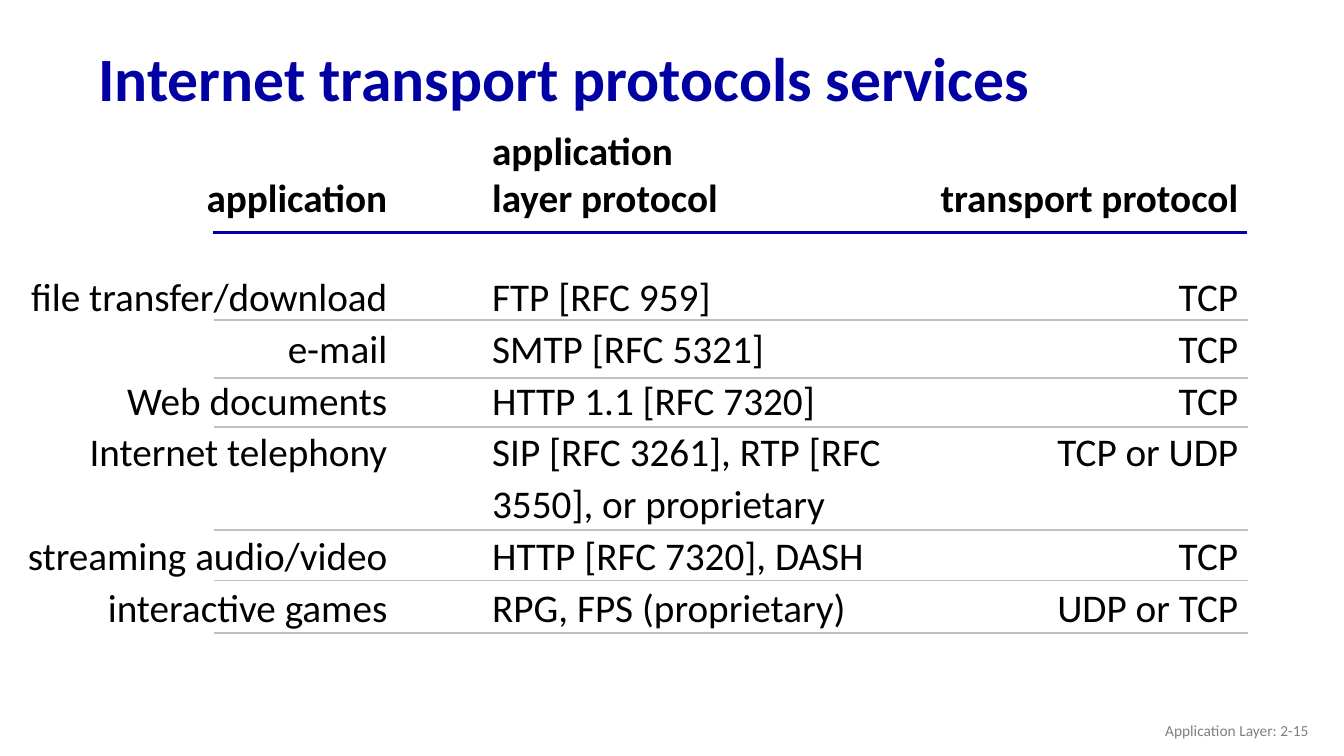
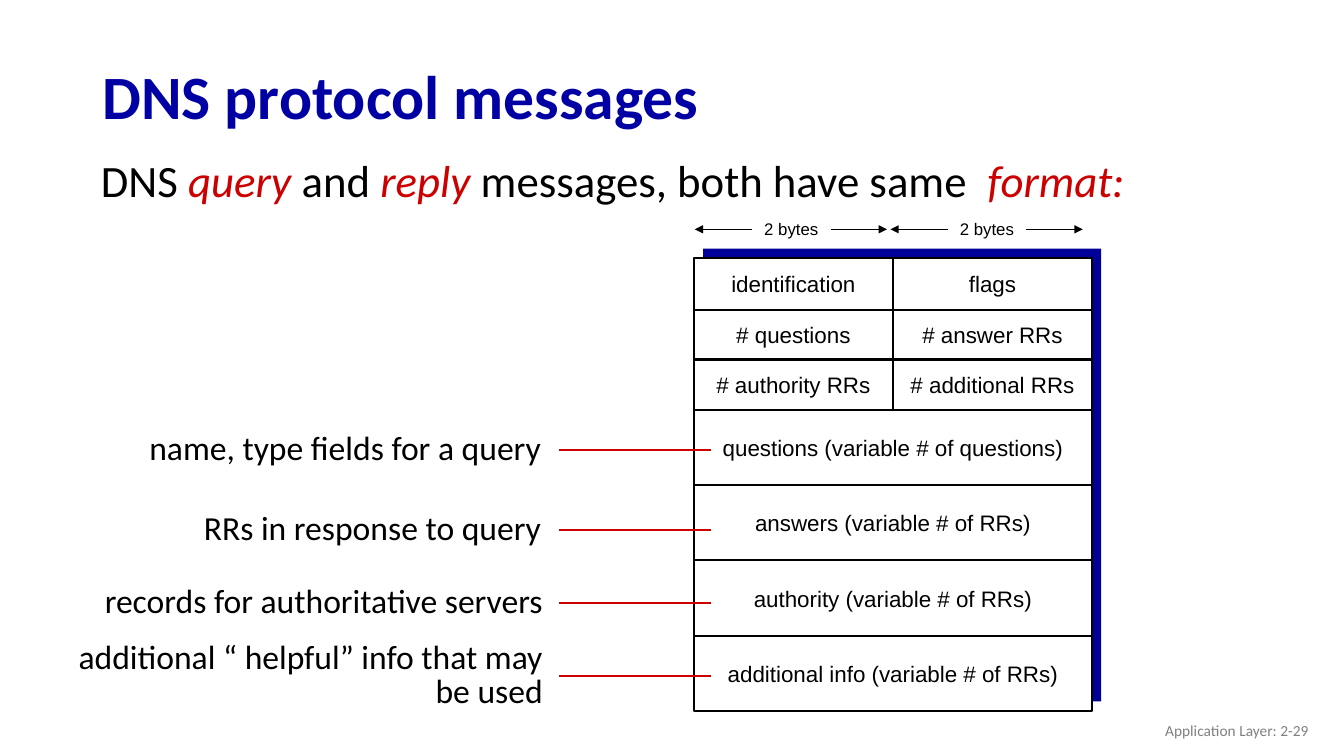
"""Build two slides on application-layer protocols and DNS messages."""
import pptx
import pptx.dml.color
import pptx.enum.shapes
import pptx.enum.text
import pptx.oxml
import pptx.oxml.ns
import pptx.util

ALIGN = pptx.enum.text.PP_ALIGN
ANCHOR = pptx.enum.text.MSO_ANCHOR
RGB = pptx.dml.color.RGBColor.from_string


class Theme:
    heading = RGB("0000A3")
    header_rule = RGB("0000A8")
    backdrop = RGB("000099")
    ink = RGB("000000")
    paper = RGB("FFFFFF")
    accent = RGB("CC0000")
    row_rule = RGB("BFBFBF")
    footer = RGB("808080")
    font = "Calibri"
    diagram_font = "Arial"
    title_size = 44
    lead_size = 32
    table_size = 28
    callout_size = 24
    field_size = 16
    byte_size = 12
    footer_size = 11


deck = pptx.Presentation()
deck.slide_width = pptx.util.Inches(13.33)
deck.slide_height = pptx.util.Inches(7.5)
COL = deck.slide_width / 160
ROW = deck.slide_height / 90


def write(frame, text, size, color=Theme.ink, font=Theme.font, bold=False,
          align=ALIGN.LEFT, anchor=ANCHOR.TOP, spacing=1.0, wrap=True):
    frame.auto_size = pptx.enum.text.MSO_AUTO_SIZE.NONE
    frame.word_wrap = wrap
    frame.vertical_anchor = anchor
    for number, line in enumerate(text.split("\n")):
        paragraph = frame.add_paragraph() if number else frame.paragraphs[0]
        paragraph.alignment = align
        paragraph.line_spacing = spacing
        paragraph.space_before = pptx.util.Pt(0)
        for part, words in enumerate(line.split("*")):
            if words:
                emphasized = part % 2 == 1
                run = paragraph.add_run()
                run.text = words
                run.font.name = font
                run.font.size = pptx.util.Pt(size)
                run.font.bold = bold
                run.font.italic = emphasized
                run.font.color.rgb = Theme.accent if emphasized else color


def draw_line(slide, start, end, color, width, arrow=False):
    line = slide.shapes.add_connector(
        pptx.enum.shapes.MSO_CONNECTOR.STRAIGHT,
        int(start[0] * COL), int(start[1] * ROW), int(end[0] * COL), int(end[1] * ROW))
    line.line.color.rgb = color
    line.line.width = pptx.util.Pt(width)
    if arrow:
        head = pptx.oxml.parse_xml(
            f'<a:tailEnd {pptx.oxml.ns.nsdecls("a")} type="triangle"/>')
        line.line._get_or_add_ln().append(head)
    line._element.spPr.append(
        pptx.oxml.parse_xml(f'<a:effectLst {pptx.oxml.ns.nsdecls("a")}/>'))


for layout, heading, left, top, page in (
        (5, "Internet transport protocols services", 10.5, 3.8, "2-15"),
        (1, "DNS protocol messages", 11, 5.9, "2-29")):
    slide = deck.slides.add_slide(deck.slide_layouts[layout])
    title = slide.shapes.title
    title.left, title.top = int(left * COL), int(top * ROW)
    title.width, title.height = int(138 * COL), int(11.8 * ROW)
    write(title.text_frame, heading, Theme.title_size, color=Theme.heading,
          bold=True, anchor=ANCHOR.MIDDLE, spacing=0.9)
    footer = slide.shapes.add_textbox(
        int(121 * COL), int(84.6 * ROW), int(36 * COL), int(4.8 * ROW))
    write(footer.text_frame, f"Application Layer: {page}", Theme.footer_size,
          color=Theme.footer, align=ALIGN.RIGHT, anchor=ANCHOR.MIDDLE)

services_slide, dns_slide = deck.slides

services = (
    (1, "file transfer/download", "FTP [RFC 959]", "TCP"),
    (1, "e-mail", "SMTP [RFC 5321]", "TCP"),
    (1, "Web documents", "HTTP 1.1 [RFC 7320]", "TCP"),
    (2, "Internet telephony", "SIP [RFC 3261], RTP [RFC 3550], or proprietary", "TCP or UDP"),
    (1, "streaming audio/video", "HTTP [RFC 7320], DASH", "TCP"),
    (1, "interactive games", "RPG, FPS (proprietary)", "UDP or TCP"),
)
headers = (2, "application", "application\nlayer protocol", "transport protocol")
column_edges = (1.5, 47.3, 110.3, 148.6)
header_height, header_gap, line_pitch = 16.9, 5.6, 6.16
table_height = header_height + line_pitch * sum(service[0] for service in services)
protocols = services_slide.shapes.add_table(
    len(services) + 1, 3, int(column_edges[0] * COL), int(15.2 * ROW),
    int((column_edges[-1] - column_edges[0]) * COL), int(table_height * ROW)).table
protocols.first_row = False
protocols.horz_banding = False
for column, start, end in zip(protocols.columns, column_edges, column_edges[1:]):
    column.width = int((end - start) * COL)
for index, (lines, *entries) in enumerate((headers, *services)):
    is_header = index == 0
    protocols.rows[index].height = int((header_height if is_header else lines * line_pitch) * ROW)
    for position, entry in enumerate(entries):
        is_protocol = position == 1
        cell = protocols.cell(index, position)
        cell.fill.background()
        cell.vertical_anchor = ANCHOR.BOTTOM
        cell.margin_left = int(11.3 * COL) if is_protocol else 0
        cell.margin_right = int(1.2 * COL)
        cell.margin_top = 0
        spare = header_gap if is_header else 0 if is_protocol else (lines - 1) * line_pitch
        cell.margin_bottom = int(spare * ROW)
        write(cell.text_frame, entry, Theme.table_size, bold=is_header,
              align=ALIGN.LEFT if is_protocol else ALIGN.RIGHT,
              spacing=1.0 if is_header else 1.08)

draw_line(services_slide, (25.4, 27.7), (148.5, 27.7), Theme.header_rule, 2.5)
for rule_row in (38.1, 45, 50.8, 63.1, 69.1, 75.4):
    draw_line(services_slide, (25.5, rule_row), (148.6, rule_row), Theme.row_rule, 1.25)

lead = dns_slide.placeholders[1]
lead.left, lead.top = int(9.1 * COL), int(18.3 * ROW)
lead.width, lead.height = int(136.4 * COL), int(6.7 * ROW)
write(lead.text_frame, "DNS *query *and *reply* messages, both have same  *format:*",
      Theme.lead_size, spacing=0.9)
lead_format = lead.text_frame.paragraphs[0]._p.get_or_add_pPr()
lead_format.set("marL", str(int(1.7 * COL)))
lead_format.set("indent", "0")
lead_format.append(pptx.oxml.parse_xml(f'<a:buNone {pptx.oxml.ns.nsdecls("a")}/>'))

message_left, message_top, message_width = 82.6, 30.7, 47.4
message_right = message_left + message_width
message_middle = message_left + message_width / 2
message_fields = (
    (6.2, ("identification", "flags")),
    (5.9, ("# questions", "# answer RRs")),
    (6, ("# authority RRs", "# additional RRs")),
    (8.9, ("questions (variable # of questions)",)),
    (9, ("answers (variable # of RRs)",)),
    (9, ("authority (variable # of RRs)",)),
    (8.9, ("additional info (variable # of RRs)",)),
)
message_height = sum(height for height, _ in message_fields)
for offset, fill in ((1.1, Theme.backdrop), (0, Theme.paper)):
    panel = dns_slide.shapes.add_shape(
        pptx.enum.shapes.MSO_SHAPE.RECTANGLE,
        int((message_left + offset) * COL), int((message_top - offset) * ROW),
        int(message_width * COL), int(message_height * ROW))
    panel.shadow.inherit = False
    panel.fill.solid()
    panel.fill.fore_color.rgb = fill
    panel.line.fill.background()
panel.line.color.rgb = Theme.ink
panel.line.width = pptx.util.Pt(1.5)

field_top = message_top
for height, names in message_fields:
    if field_top > message_top:
        draw_line(dns_slide, (message_left, field_top), (message_right, field_top),
                  Theme.ink, 1.5)
    width = message_width / len(names)
    for position, name in enumerate(names):
        field = dns_slide.shapes.add_textbox(
            int((message_left + position * width) * COL), int(field_top * ROW),
            int(width * COL), int(height * ROW))
        field.text_frame.margin_left = field.text_frame.margin_right = 0
        write(field.text_frame, name, Theme.field_size, font=Theme.diagram_font,
              align=ALIGN.CENTER, anchor=ANCHOR.MIDDLE)
    field_top += height
header_bottom = message_top + sum(height for height, names in message_fields if len(names) == 2)
draw_line(dns_slide, (message_middle, message_top), (message_middle, header_bottom),
          Theme.ink, 1.5)

byte_span, byte_row = 23.3, 27.3
for left in (message_left, message_left + byte_span):
    byte_label = dns_slide.shapes.add_textbox(
        int((left + 7.1) * COL), int((byte_row - 1.9) * ROW), int(9 * COL), int(3.6 * ROW))
    write(byte_label.text_frame, "2 bytes", Theme.byte_size, font=Theme.diagram_font,
          align=ALIGN.CENTER, anchor=ANCHOR.MIDDLE, wrap=False)
    for start, end in ((6.9, 0.1), (16.3, 23)):
        draw_line(dns_slide, (left + start, byte_row), (left + end, byte_row),
                  Theme.ink, 0.75, arrow=True)

for middle, height, right, meaning in (
        (53.6, 5.4, 65.6, "name, type fields for a query"),
        (63.1, 5.4, 65.6, "RRs in response to query"),
        (71.8, 5.4, 65.8, "records for authoritative servers"),
        (80.5, 9.5, 65.8, "additional “ helpful” info that may be used")):
    callout = dns_slide.shapes.add_textbox(
        int(5.2 * COL), int((middle - height / 2) * ROW),
        int((right - 5.2) * COL), int(height * ROW))
    write(callout.text_frame, meaning, Theme.callout_size, align=ALIGN.RIGHT,
          anchor=ANCHOR.MIDDLE, spacing=0.85)
    draw_line(dns_slide, (66.6, middle), (84.6, middle), Theme.accent, 1.5)

deck.save("out.pptx")
